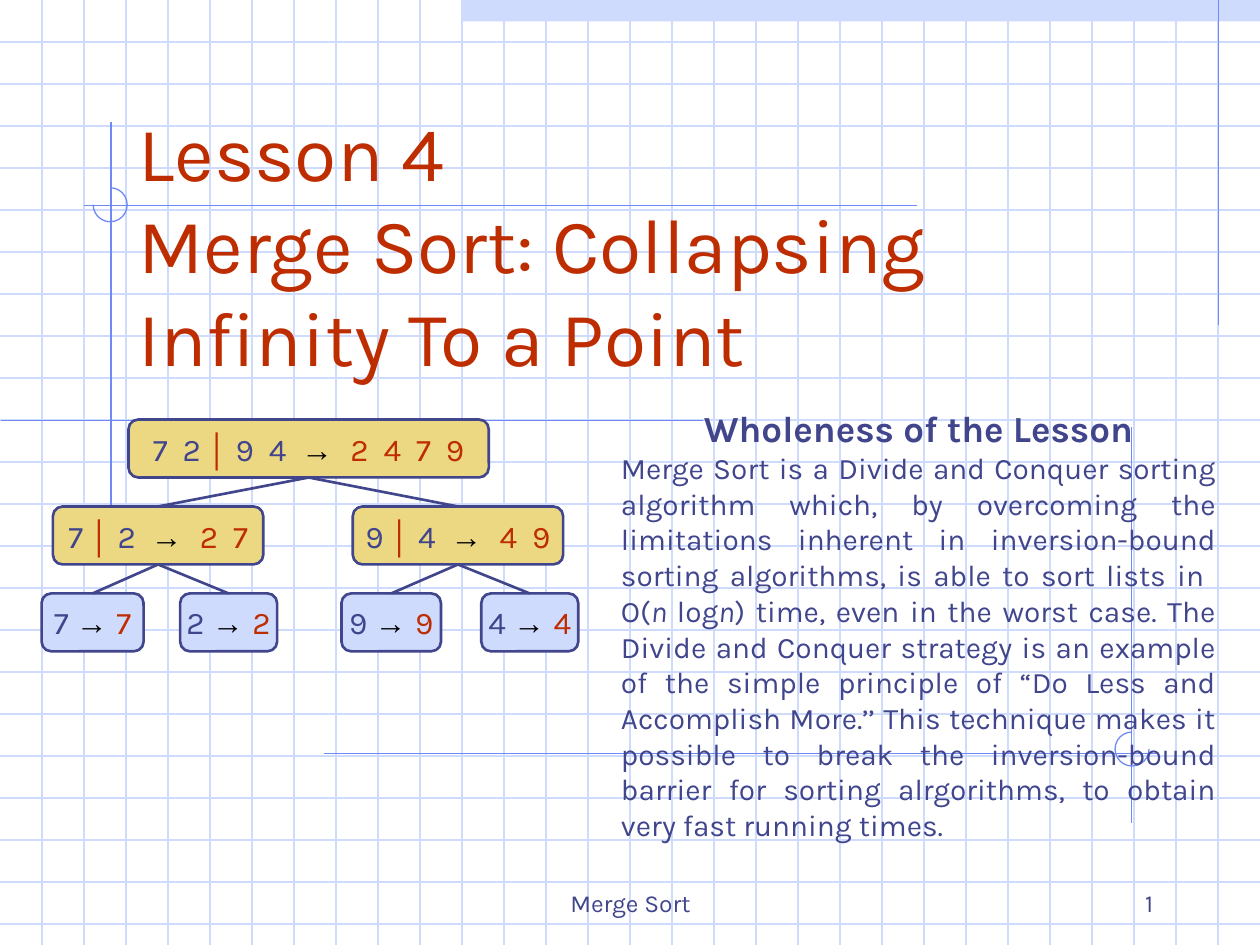
from lxml import etree
from pptx import Presentation
from pptx.dml.color import RGBColor
from pptx.enum.shapes import MSO_CONNECTOR, MSO_SHAPE
from pptx.enum.text import MSO_ANCHOR, MSO_AUTO_SIZE, PP_ALIGN
from pptx.oxml.ns import qn
from pptx.util import Inches, Pt

STRAIGHT = MSO_CONNECTOR.STRAIGHT
RECTANGLE, ROUNDED, ARC = MSO_SHAPE.RECTANGLE, MSO_SHAPE.ROUNDED_RECTANGLE, MSO_SHAPE.ARC
TOP, MIDDLE, BOTTOM = MSO_ANCHOR.TOP, MSO_ANCHOR.MIDDLE, MSO_ANCHOR.BOTTOM
LEFT, CENTER, RIGHT, JUSTIFY = PP_ALIGN.LEFT, PP_ALIGN.CENTER, PP_ALIGN.RIGHT, PP_ALIGN.JUSTIFY
NO_AUTOFIT, GROW = MSO_AUTO_SIZE.NONE, MSO_AUTO_SIZE.SHAPE_TO_FIT_TEXT

PALE_BLUE = RGBColor(0xCF, 0xDB, 0xFD)
GUIDE_BLUE = RGBColor(0x6F, 0x89, 0xF7)
INDIGO = RGBColor(0x40, 0x45, 0x8C)
RUST = RGBColor(0xBE, 0x2D, 0x00)
GOLD = RGBColor(0xEC, 0xD8, 0x82)
BLACK = RGBColor(0, 0, 0)

KARLA = {"name": "Karla", "bold": False}
ARIAL_BOLD = {"name": "Arial", "bold": True}
KARLA_BOLD = {"name": "Karla", "bold": True}
KARLA_ITALIC = {"name": "Karla", "bold": False, "italic": True}

presentation = Presentation()
presentation.slide_width = Inches(10)
presentation.slide_height = Inches(7.5)
slide = presentation.slides.add_slide(presentation.slide_layouts[5])
shapes = slide.shapes


def add_line(start, end, color, width):
    line = shapes.add_connector(STRAIGHT, *map(Inches, start + end))
    line.line.color.rgb = color
    line.line.width = Pt(width)
    etree.SubElement(line.element.spPr, qn("a:effectLst"))
    return line


def add_runs(paragraph, size, alignment, spans):
    """Add (text, color, font format) spans; a newline becomes a line break."""
    paragraph.alignment = alignment
    for text, color, font_format in spans:
        for index, part in enumerate(text.split("\n")):
            if index:
                paragraph.add_line_break()
            run = paragraph.add_run()
            run.text = part
            run.font.size = Pt(size)
            run.font.color.rgb = color
            for name, value in font_format.items():
                setattr(run.font, name, value)


# Graph-paper background
band = shapes.add_shape(RECTANGLE, Inches(3.67), 0, Inches(6.33), Inches(0.17))
band.shadow.inherit = False
band.fill.solid()
band.fill.fore_color.rgb = PALE_BLUE
band.line.fill.background()

for row in range(1, 23):
    add_line((0, row / 3), (10, row / 3), PALE_BLUE, 0.75)
for column in range(1, 30):
    add_line((column / 3, 0), (column / 3, 7.5), PALE_BLUE, 0.75)

# Guide lines and the open circles where they cross
for start, end in [
    ((9.67, 0), (9.67, 2.58)),
    ((0.88, 0.97), (0.88, 4.09)),
    ((5.58, 3.34), (0.01, 3.34)),
    ((7.28, 1.63), (0.67, 1.63)),
    ((2.57, 5.98), (9.18, 5.98)),
    ((8.98, 3.39), (8.98, 6.53)),
]:
    add_line(start, end, GUIDE_BLUE, 0.75)

# Arc adjustments count 0.6 for each degree, clockwise from the right
for left, top, start_degrees, end_degrees in [(0.74, 1.49, 270, 180), (8.85, 5.81, 0, 270)]:
    arc = shapes.add_shape(ARC, Inches(left), Inches(top), Inches(0.27), Inches(0.27))
    arc.shadow.inherit = False
    arc.adjustments[0] = start_degrees * 0.6
    arc.adjustments[1] = end_degrees * 0.6
    arc.fill.background()
    arc.line.color.rgb = GUIDE_BLUE
    arc.line.width = Pt(0.75)

# Footer and slide number
for text, left, width, alignment in [
    ("Merge Sort", 3.42, 3.17, CENTER),
    ("1", 7.17, 2.08, RIGHT),
]:
    footer = shapes.add_textbox(Inches(left), Inches(6.83), Inches(width), Inches(0.5))
    footer.text_frame.word_wrap = True
    footer.text_frame.vertical_anchor = BOTTOM
    add_runs(footer.text_frame.paragraphs[0], 14, alignment, [(text, INDIGO, KARLA)])

# Title, raised above the grid
title = shapes.title
shapes.element.append(title.element)
title.left, title.top = Inches(1), Inches(1.5)
title.width, title.height = Inches(8.5), Inches(1.58)
title.text_frame.word_wrap = True
title.text_frame.auto_size = NO_AUTOFIT
title.text_frame.vertical_anchor = BOTTOM
add_runs(title.text_frame.paragraphs[0], 44, LEFT,
         [("Lesson 4\nMerge Sort: Collapsing Infinity To a Point", RUST, KARLA)])

# Merge-sort tree: left, top, width, left half, right half, result, parent
NODES = [
    (1.02, 3.33, 2.86, "7  2 ", " 9  4  ", "2  4  7  9", None),
    (0.42, 4.02, 1.67, "7 ", " 2  ", "2  7", 0),
    (2.80, 4.02, 1.67, "9 ", " 4  ", "4  9", 0),
    (0.33, 4.71, 0.81, "7 ", None, "7", 1),
    (1.43, 4.71, 0.77, "2 ", None, "2", 1),
    (2.71, 4.71, 0.79, "9 ", None, "9", 2),
    (3.82, 4.71, 0.77, "4 ", None, "4", 2),
]
boxes = []
for left, top, width, first, second, result, parent in NODES:
    box = shapes.add_shape(ROUNDED, Inches(left), Inches(top), Inches(width), Inches(0.46))
    box.shadow.inherit = False
    box.adjustments[0] = 0.167
    box.fill.solid()
    box.fill.fore_color.rgb = GOLD if second else PALE_BLUE
    box.line.color.rgb = INDIGO
    box.line.width = Pt(1.5)
    box.text_frame.word_wrap = False
    box.text_frame.vertical_anchor = MIDDLE
    spans = [(first, INDIGO, KARLA)]
    if second:
        spans += [("│", RUST, ARIAL_BOLD), (second, INDIGO, KARLA)]
    spans += [("→  " if second else "→ ", BLACK, ARIAL_BOLD), (result, RUST, KARLA)]
    add_runs(box.text_frame.paragraphs[0], 18, CENTER, spans)
    boxes.append(box)

for box, node in zip(boxes, NODES):
    if node[-1] is not None:
        branch = add_line((0, 0), (1, 1), INDIGO, 1.5)
        branch.begin_connect(box, 0)
        branch.end_connect(boxes[node[-1]], 2)

# Lesson summary
summary = shapes.add_textbox(Inches(4.83), Inches(3.17), Inches(4.92), Inches(4.42))
summary.text_frame.word_wrap = True
summary.text_frame.auto_size = GROW
summary.text_frame.vertical_anchor = TOP
add_runs(summary.text_frame.paragraphs[0], 21, CENTER,
         [("Wholeness of the Lesson", INDIGO, KARLA_BOLD)])
add_runs(summary.text_frame.add_paragraph(), 17, JUSTIFY, [
    ("Merge Sort is a Divide and Conquer sorting algorithm which, by overcoming the "
     "limitations inherent in inversion-bound sorting algorithms, is able to sort "
     "lists in \nO(", INDIGO, KARLA),
    ("n ", INDIGO, KARLA_ITALIC),
    ("log", INDIGO, KARLA),
    ("n", INDIGO, KARLA_ITALIC),
    (") time, even in the worst case. The Divide and Conquer strategy is an example of "
     "the simple principle of “Do Less and Accomplish More.’’ This technique makes it "
     "possible to break the inversion-bound barrier for sorting alrgorithms, to obtain "
     "very fast running times.", INDIGO, KARLA),
])

presentation.save("out.pptx")
